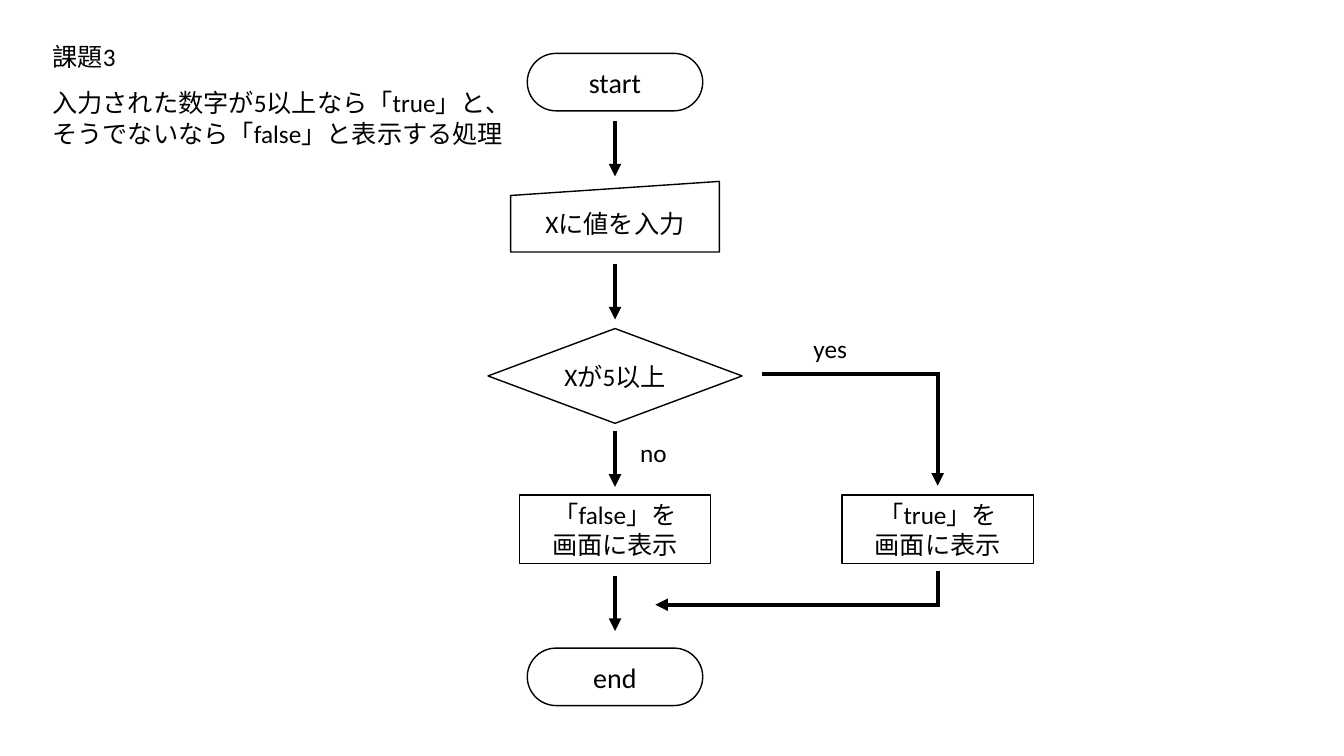
from lxml import etree
from pptx import Presentation
from pptx.dml.color import RGBColor
from pptx.enum.shapes import MSO_CONNECTOR as CONN, MSO_SHAPE as SHAPE
from pptx.enum.text import MSO_ANCHOR as ANCHOR, MSO_AUTO_SIZE as FIT, PP_ALIGN as ALIGN
from pptx.oxml.ns import qn
from pptx.util import Inches, Pt

BLACK = RGBColor(0, 0, 0)
FONT = "Calibri"
ARROW_LENGTH = 0.55
HALF_LINE = 0.02


def write(tf, lines, size=18, align=ALIGN.LEFT, anchor=ANCHOR.TOP):
    tf.word_wrap = True
    tf.auto_size = FIT.NONE
    tf.vertical_anchor = anchor
    tf.text = "\n".join(lines)
    for p in tf.paragraphs:
        p.alignment = align
        p.font.name = FONT
        p.font.size = Pt(size)
        p.font.color.rgb = BLACK


def add_label(s, left, top, width, height, *lines):
    sp = s.shapes.add_textbox(Inches(left), Inches(top), Inches(width), Inches(height))
    write(sp.text_frame, lines)


def add_step(s, kind, center, top, width, height, *lines, size=18):
    sp = s.shapes.add_shape(kind, Inches(center - width / 2), Inches(top),
                            Inches(width), Inches(height))
    sp.shadow.inherit = False
    sp.fill.background()
    sp.line.color.rgb = BLACK
    sp.line.width = Pt(1)
    write(sp.text_frame, lines, size, ALIGN.CENTER, ANCHOR.MIDDLE)
    return sp


def add_terminal(s, center, top, text):
    sp = add_step(s, SHAPE.ROUNDED_RECTANGLE, center, top, 1.74, 0.57, text, size=20)
    sp.adjustments[0] = 0.5


def add_output(s, center, top, word):
    add_step(s, SHAPE.RECTANGLE, center, top, 1.9, 0.68, f"「{word}」を", "画面に表示")


def add_line(s, x1, y1, x2, y2, arrow=True):
    c = s.shapes.add_connector(CONN.STRAIGHT, Inches(x1), Inches(y1), Inches(x2), Inches(y2))
    c.line.color.rgb = BLACK
    c.line.width = Pt(3)
    if arrow:
        etree.SubElement(c.line._get_or_add_ln(), qn("a:tailEnd"), type="triangle")
    etree.SubElement(c._element.spPr, qn("a:effectLst"))


def add_heading(s, left, top):
    title = s.shapes.title
    title.left, title.top = Inches(left), Inches(top)
    title.width, title.height = Inches(2.62), Inches(0.4)
    write(title.text_frame, ["課題3"])
    add_label(s, left, top + 0.46, 5.18, 0.71,
              "入力された数字が5以上なら「true」と、",
              "そうでないなら「false」と表示する処理")


def add_main_flow(s, center, top):
    add_terminal(s, center, top, "start")
    add_step(s, SHAPE.FLOWCHART_MANUAL_INPUT, center, top + 1.27, 2.07, 0.7, "Xに値を入力")
    add_step(s, SHAPE.FLOWCHART_DECISION, center, top + 2.73, 2.52, 0.94, "Xが5以上")
    add_label(s, center + 0.15, top + 3.76, 0.93, 0.4, "no")
    add_output(s, center, top + 4.38, "false")
    add_terminal(s, center, top + 5.9, "end")
    for offset in (0.67, 2.09, 3.75, 5.18):
        add_line(s, center, top + offset, center, top + offset + ARROW_LENGTH)


def add_yes_branch(s, left, top, center):
    corner = center + HALF_LINE
    entry, merge = top + 0.45, top + 2.74
    add_label(s, left + 0.41, top, 0.93, 0.4, "yes")
    add_line(s, left, entry, corner, entry, arrow=False)
    add_line(s, center, entry, center, top + 1.56)
    add_output(s, center, top + 1.65, "true")
    add_line(s, center, top + 2.4, center, merge, arrow=False)
    add_line(s, corner, merge, left - 1.06, merge)


def main():
    prs = Presentation()
    prs.slide_width, prs.slide_height = Inches(13.33), Inches(7.5)
    s = prs.slides.add_slide(prs.slide_layouts[5])
    add_heading(s, 0.42, 0.36)
    add_main_flow(s, 6.1, 0.53)
    add_yes_branch(s, 7.56, 3.26, 9.3)
    prs.save("out.pptx")


if __name__ == "__main__":
    main()
